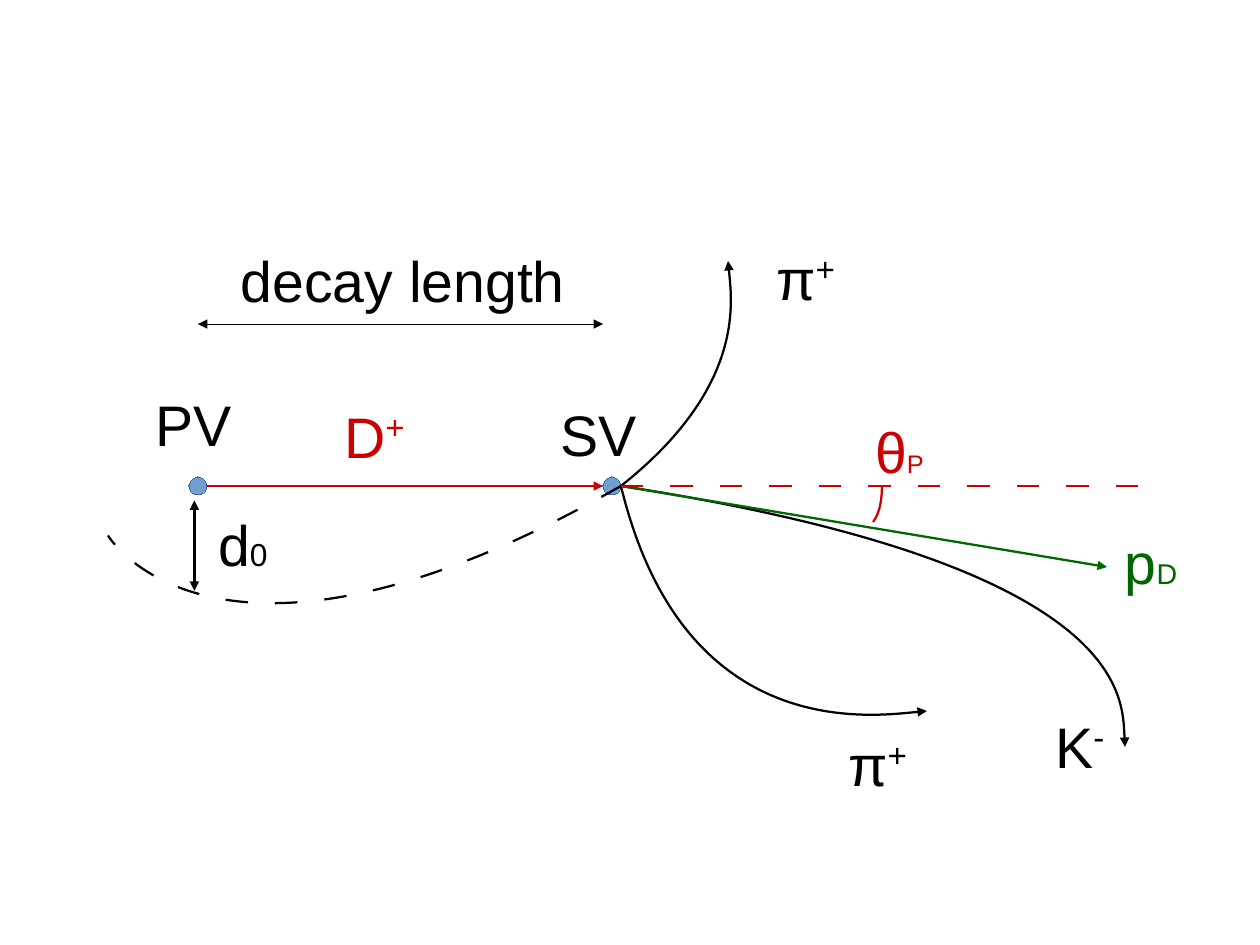
"""Draw the decay topology of a D+ meson with its vertices, tracks and labels."""
from dataclasses import dataclass
from typing import NamedTuple, Optional

from lxml.etree import SubElement
from pptx import Presentation
from pptx.dml.color import RGBColor as Color
from pptx.enum.shapes import MSO_CONNECTOR as Connector, MSO_SHAPE as Preset
from pptx.enum.text import MSO_AUTO_SIZE as AutoSize
from pptx.oxml.ns import qn
from pptx.util import Cm, Pt


@dataclass(frozen=True)
class Theme:
    black: Color = Color(0, 0, 0)
    red: Color = Color(0xCC, 0, 0)
    green: Color = Color(0, 0x66, 0)
    dot_fill: Color = Color(0x72, 0x9F, 0xCF)
    dot_line: Color = Color(0x34, 0x65, 0xA4)
    font: str = "Arial"
    size: float = 36
    stroke: float = 1.42
    hairline: float = 0


THEME = Theme()


class Point(NamedTuple):
    x: float
    y: float


class Stroke(NamedTuple):
    start: Point
    end: Point
    color: Color = THEME.black
    control: Optional[Point] = None
    arrows: tuple[str, ...] = ()
    dashed: bool = False
    width: float = THEME.stroke


class Label(NamedTuple):
    corner: Point
    width: float
    text: str
    color: Color = THEME.black
    superscript: str = ""
    small: str = ""
    small_size: float = THEME.size


AXIS = 10.8
DOT = 0.4
PRIMARY = Point(4.4, AXIS)
SECONDARY = Point(13.6, AXIS)
DECAY = Point(13.8, AXIS)
TO_END = ("tailEnd",)
BOTH_ENDS = ("headEnd", "tailEnd")

FLIGHT = Stroke(Point(4.6, AXIS), Point(13.4, AXIS), THEME.red, arrows=TO_END)
STROKES = [
    Stroke(DECAY, Point(20.6, 15.8), control=Point(15.2, 16.6), arrows=TO_END),
    Stroke(DECAY, Point(25, 16.6), control=Point(25.4, 12.6), arrows=TO_END),
    Stroke(DECAY, Point(16.18, 5.8), control=Point(16.64, 8.55), arrows=TO_END),
    Stroke(DECAY, Point(2.4, 11.9), control=Point(4.8, 15.93), dashed=True),
    Stroke(DECAY, Point(24.6, 12.6), THEME.green, arrows=TO_END),
    Stroke(DECAY, Point(25.8, AXIS), THEME.red, dashed=True),
    Stroke(Point(19.6, AXIS), Point(19.4, 11.6), THEME.red, control=Point(19.6, 11.4)),
    Stroke(Point(4.32, 11.12), Point(4.32, 13.13), arrows=BOTH_ENDS),
    Stroke(Point(4.4, 7.2), Point(13.4, 7.2), arrows=BOTH_ENDS, width=THEME.hairline),
]
LABELS = [
    Label(Point(7.4, 8.8), 2.2, "D", THEME.red, superscript="+"),
    Label(Point(17, 5.28), 2.2, "π", superscript="+"),
    Label(Point(18.6, 16.08), 2.2, "π", superscript="+"),
    Label(Point(23.2, 15.68), 2.2, "K", superscript="-"),
    Label(Point(24.75, 11.6), 1.9, "p", THEME.green, small="D", small_size=18),
    Label(Point(19.2, 9.12), 1.96, "θ", THEME.red, small="P", small_size=16),
    Label(Point(3.2, 8.53), 2.4, "PV"),
    Label(Point(12.2, 8.75), 2.4, "SV"),
    Label(Point(4.6, 11.2), 2.18, "d", small="0", small_size=20),
    Label(Point(5.1, 5.33), 8, "decay length"),
]


def drop_style(shape) -> None:
    for style in shape._element.findall(qn("p:style")):
        shape._element.remove(style)


def add_dot(page, center: Point) -> None:
    corner = Cm(center.x - DOT / 2), Cm(center.y - DOT / 2)
    dot = page.shapes.add_shape(Preset.OVAL, *corner, Cm(DOT), Cm(DOT))
    drop_style(dot)
    dot.shadow.inherit = False
    dot.fill.solid()
    dot.fill.fore_color.rgb = THEME.dot_fill
    dot.line.color.rgb = THEME.dot_line
    dot.line.width = Pt(THEME.hairline)


def add_curve(page, stroke: Stroke):
    start, bend, end = [
        (Cm(point.x), Cm(point.y)) for point in (stroke.start, stroke.control, stroke.end)
    ]
    builder = page.shapes.build_freeform(*start)
    builder.add_line_segments([end], close=False)
    curve = builder.convert_to_shape()
    curve.shadow.inherit = False
    curve.fill.background()
    straight = next(curve._element.iter(qn("a:lnTo")))
    bezier = SubElement(straight.getparent(), qn("a:cubicBezTo"))
    for x, y in (bend, end, end):
        SubElement(bezier, qn("a:pt"), x=str(x - curve.left), y=str(y - curve.top))
    straight.getparent().remove(straight)
    return curve


def add_stroke(page, stroke: Stroke) -> None:
    if stroke.control:
        shape = add_curve(page, stroke)
    else:
        ends = [Cm(value) for value in (*stroke.start, *stroke.end)]
        shape = page.shapes.add_connector(Connector.STRAIGHT, *ends)
    drop_style(shape)
    shape.line.color.rgb = stroke.color
    shape.line.width = Pt(stroke.width)
    outline = shape._element.spPr.find(qn("a:ln"))
    if stroke.dashed:
        dashes = SubElement(outline, qn("a:custDash"))
        SubElement(dashes, qn("a:ds"), d="1000000", sp="1200000")
    for arrow in stroke.arrows:
        SubElement(outline, qn(f"a:{arrow}"), type="triangle")
    if not stroke.control:
        SubElement(shape._element.spPr, qn("a:effectLst"))


def add_span(para, text: str, size: float, color: Color):
    span = para.add_run()
    span.text = text
    span.font.color.rgb = color
    for name, value in {"name": THEME.font, "size": Pt(size)}.items():
        setattr(span.font, name, value)
    return span


def add_label(page, label: Label) -> None:
    height = 1.73 if label.superscript else 1.68
    box = page.shapes.add_textbox(
        Cm(label.corner.x), Cm(label.corner.y), Cm(label.width), Cm(height)
    )
    frame_format = {"word_wrap": True, "auto_size": AutoSize.SHAPE_TO_FIT_TEXT}
    for name, value in frame_format.items():
        setattr(box.text_frame, name, value)
    para = box.text_frame.paragraphs[0]
    add_span(para, label.text, THEME.size, label.color)
    if label.superscript:
        span = add_span(para, label.superscript, THEME.size, label.color)
        span.font._element.set("baseline", "33000")
    if label.small:
        add_span(para, label.small, label.small_size, label.color)


def main() -> None:
    deck = Presentation()
    deck.slide_width, deck.slide_height = Cm(28), Cm(21)
    page = deck.slides.add_slide(deck.slide_layouts[6])
    add_stroke(page, FLIGHT)
    for vertex in (PRIMARY, SECONDARY):
        add_dot(page, vertex)
    for stroke in STROKES:
        add_stroke(page, stroke)
    for label in LABELS:
        add_label(page, label)
    deck.save("out.pptx")


if __name__ == "__main__":
    main()
